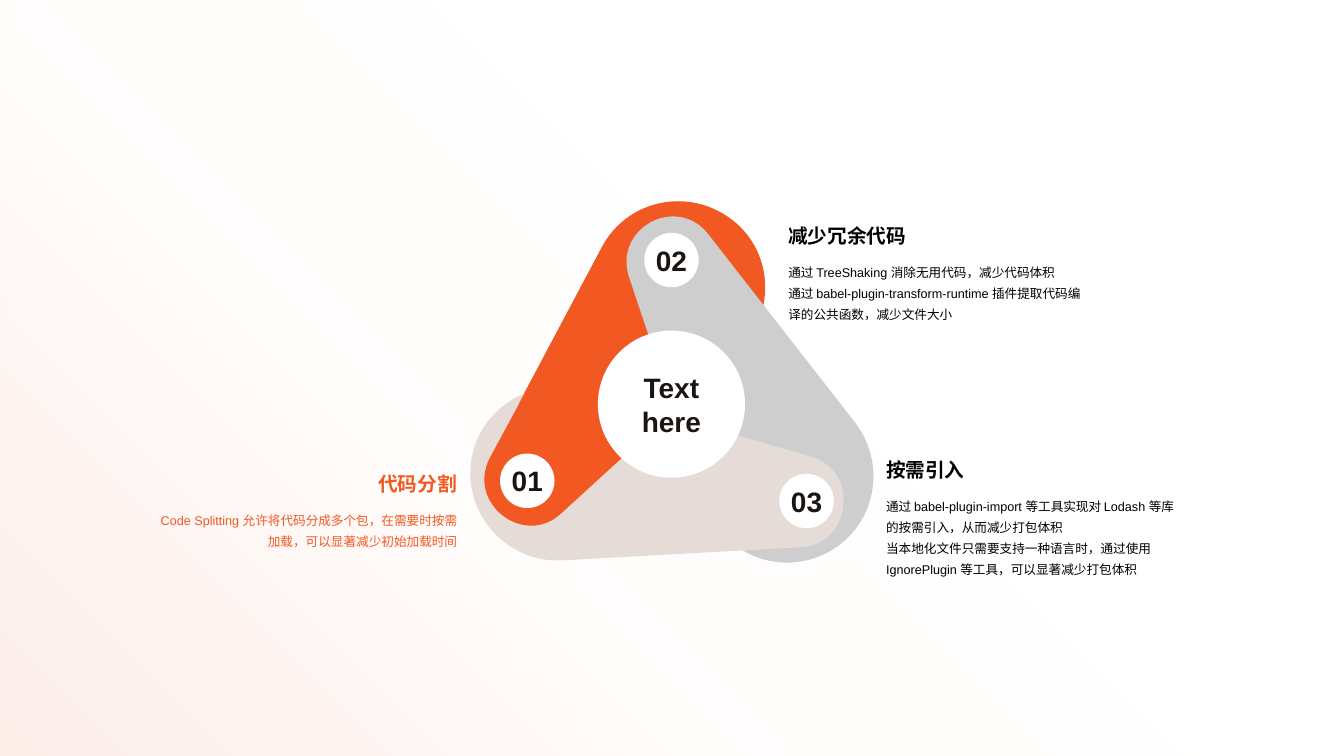
import copy

import lxml.etree
import pptx
import pptx.dml.color
import pptx.enum.shapes
import pptx.enum.text
import pptx.oxml.ns
import pptx.util

Inches = pptx.util.Inches
qn = pptx.oxml.ns.qn
ALIGN = pptx.enum.text.PP_ALIGN
ANCHOR = pptx.enum.text.MSO_ANCHOR
SHAPE = pptx.enum.shapes.MSO_SHAPE

COLORS = {
    "orange": "F25822",
    "grey": "CECECE",
    "beige": "E5DCD8",
    "white": "FFFFFF",
    "ink": "1B1512",
    "black": "000000",
    "blush": "FDEEE9",
    "pale blush": "FEF6F4",
    "cream": "FFFCFB",
}
BACKDROP_STOPS = [
    (0, "blush", 100), (0.2, "pale blush", 96), (0.33, "cream", 80), (0.61, "white", 76), (1, "white", 76),
]

ORANGE_ARM = [
    (5.58, 5.09), (7.31, 3.49), (7.7, 3.13, 7.68, 2.5, 7.26, 2.18),
    (6.83, 1.85, 6.22, 1.98, 5.97, 2.45), (4.86, 4.54), (4.62, 4.99, 5.2, 5.44, 5.58, 5.09),
]
GREY_ARM = [
    (6.24, 2.75), (6.99, 4.99), (7.16, 5.5, 7.74, 5.73, 8.21, 5.48),
    (8.68, 5.23, 8.81, 4.62, 8.48, 4.19), (7.03, 2.33), (6.72, 1.92, 6.08, 2.26, 6.24, 2.75),
]
BEIGE_ARM = [
    (8.04, 4.53), (5.77, 3.87), (5.26, 3.73, 4.73, 4.07, 4.67, 4.6),
    (4.61, 5.13, 5.05, 5.59, 5.58, 5.56), (7.94, 5.43), (8.45, 5.4, 8.53, 4.67, 8.04, 4.53),
]
ORANGE_TIP = [
    (6.63, 4.12), (5.77, 3.87), (5.57, 3.82, 5.37, 3.83, 5.2, 3.91),
    (4.86, 4.54), (4.62, 4.99, 5.2, 5.44, 5.57, 5.09),
]
ORANGE_JOIN = [(5.27, 3.78), (5.15, 4), (6.6, 4.15), (6.66, 4.1), (6.21, 3.78)]

STEPS = [
    (2, 4.63, "代码分割", 2, "orange", ALIGN.RIGHT,
     ["Code Splitting 允许将代码分成多个包，在需要时按需加载，可以显著减少初始加载时间"]),
    (7.72, 2.17, "减少冗余代码", 3, "black", ALIGN.LEFT,
     ["通过 TreeShaking 消除无用代码，减少代码体积",
      "通过 babel-plugin-transform-runtime 插件提取代码编译的公共函数，减少文件大小"]),
    (8.69, 4.49, "按需引入", 4, "black", ALIGN.LEFT,
     ["通过 babel-plugin-import 等工具实现对 Lodash 等库的按需引入，从而减少打包体积",
      "当本地化文件只需要支持一种语言时，通过使用 IgnorePlugin 等工具，可以显著减少打包体积"]),
]


def rgb(color):
    return pptx.dml.color.RGBColor.from_string(COLORS[color])


def write(paragraph, text, size=9, color="black", bold=False, align=ALIGN.LEFT, leading=None):
    paragraph.alignment = align
    if leading:
        paragraph.line_spacing = pptx.util.Pt(leading)
    run = paragraph.add_run()
    run.text = text
    run.font.name = "Arial"
    run.font.size = pptx.util.Pt(size)
    run.font.bold = bold
    run.font.color.rgb = rgb(color)


class Diagram:
    def __init__(self, deck):
        self.deck = deck
        self.slide = deck.slides.add_slide(deck.slide_layouts[6])

    def backdrop(self):
        panel = self.slide.shapes.add_shape(
            SHAPE.RECTANGLE, 0, 0, self.deck.slide_width, self.deck.slide_height)
        panel.shadow.inherit = False
        panel.line.fill.background()
        panel.fill.gradient()
        panel.fill.gradient_angle = 45
        stop_list = panel.element.find(".//" + qn("a:gsLst"))
        while len(stop_list) < len(BACKDROP_STOPS):
            stop_list.append(copy.deepcopy(stop_list[0]))
        for stop, mark, (position, color, opacity) in zip(
                panel.fill.gradient_stops, stop_list, BACKDROP_STOPS):
            stop.position = position
            stop.color.rgb = rgb(color)
            if opacity < 100:
                lxml.etree.SubElement(mark[0], qn("a:alpha")).set("val", str(opacity * 1000))

    def paint(self, shape, color):
        shape.shadow.inherit = False
        shape.fill.solid()
        shape.fill.fore_color.rgb = rgb(color)
        shape.line.fill.background()

    def arm(self, outline, color):
        points = [
            (Inches(segment[i]), Inches(segment[i + 1]))
            for segment in outline for i in range(0, len(segment), 2)
        ]
        builder = self.slide.shapes.build_freeform(*points[0])
        builder.add_line_segments(points[1:], close=True)
        arm = builder.convert_to_shape()
        lines = iter(arm.element.findall(".//" + qn("a:lnTo")))
        for segment in outline[1:]:
            controls = [next(lines) for _ in range(len(segment) // 2)]
            if len(controls) == 3:
                curve = lxml.etree.Element(qn("a:cubicBezTo"))
                controls[0].addprevious(curve)
                for control in controls:
                    curve.append(control[0])
                    control.getparent().remove(control)
        self.paint(arm, color)

    def disc(self, center_x, center_y, diameter, text, wrap=False):
        disc = self.slide.shapes.add_shape(
            SHAPE.OVAL,
            Inches(center_x - diameter / 2), Inches(center_y - diameter / 2),
            Inches(diameter), Inches(diameter),
        )
        self.paint(disc, "white")
        frame = disc.text_frame
        frame.word_wrap = wrap
        frame.vertical_anchor = ANCHOR.MIDDLE
        if not wrap:
            frame.margin_left = frame.margin_right = 0
            frame.margin_top = frame.margin_bottom = 0
        write(frame.paragraphs[0], text, size=20, color="ink", bold=True, align=ALIGN.CENTER)

    def text_box(self, left, top, width, height, texts, **style):
        box = self.slide.shapes.add_textbox(Inches(left), Inches(top), Inches(width), Inches(height))
        frame = box.text_frame
        frame.word_wrap = True
        frame.auto_size = pptx.enum.text.MSO_AUTO_SIZE.SHAPE_TO_FIT_TEXT
        for index, text in enumerate(texts):
            paragraph = frame.add_paragraph() if index else frame.paragraphs[0]
            write(paragraph, text, **style)

    def step(self, left, top, heading, line_count, color, align, details):
        heading_width, detail_width = 2.63, 3.15
        detail_left = left + heading_width - detail_width if align == ALIGN.RIGHT else left
        self.text_box(left, top, heading_width, 0.34, [heading],
                      size=14, color=color, bold=True, align=align)
        self.text_box(detail_left, top + 0.35, detail_width, 0.1 + 0.21 * line_count, details,
                      color=color, align=align, leading=15)


def main():
    deck = pptx.Presentation()
    deck.slide_width, deck.slide_height = Inches(13.33), Inches(7.5)
    diagram = Diagram(deck)
    diagram.backdrop()
    diagram.arm(ORANGE_ARM, "orange")
    diagram.arm(GREY_ARM, "grey")
    diagram.arm(BEIGE_ARM, "beige")
    diagram.arm(ORANGE_TIP, "orange")
    diagram.arm(ORANGE_JOIN, "orange")
    for number, x, y in [("01", 5.23, 4.77), ("02", 6.66, 2.58), ("03", 8, 4.97)]:
        diagram.disc(x, y, 0.54, number)
    diagram.disc(6.66, 4.01, 1.46, "Text here", wrap=True)
    for step in STEPS:
        diagram.step(*step)
    deck.save("out.pptx")


if __name__ == "__main__":
    main()
